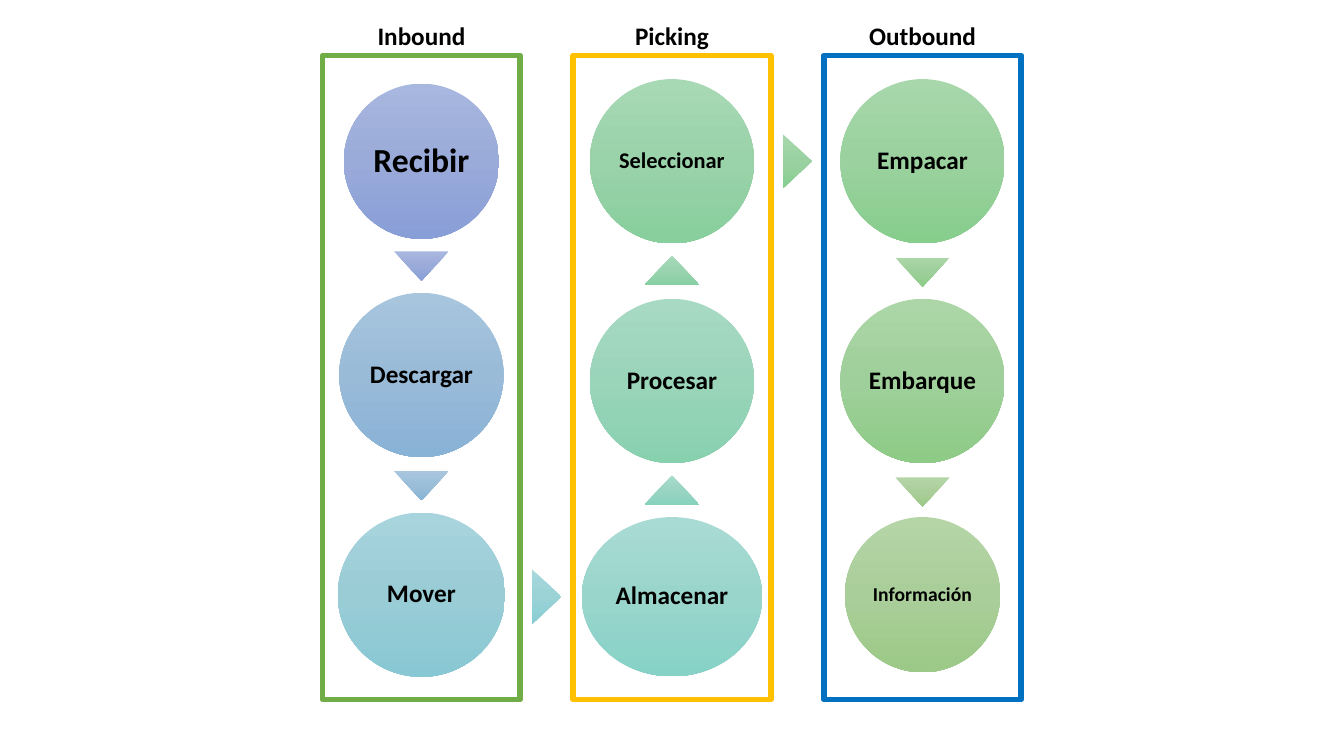
from copy import deepcopy

from pptx import Presentation
from pptx.dml.color import RGBColor
from pptx.enum.shapes import MSO_SHAPE
from pptx.enum.text import MSO_ANCHOR, MSO_AUTO_SIZE, PP_ALIGN
from pptx.util import Inches, Pt

BLACK = RGBColor(0, 0, 0)
GREEN = RGBColor(0x70, 0xAD, 0x47)
GOLD = RGBColor(0xFF, 0xC0, 0x00)
BLUE = RGBColor(0x00, 0x70, 0xC0)


def shades(*codes):
    """Turn hex codes into the colours of a gradient, top to bottom."""
    return [RGBColor.from_string(code) for code in codes]


PERIWINKLE = shades("A8B7DF", "9AABD9", "889ED7")
STEEL = shades("A8C5DE", "9ABBD8", "88B2D6")
SKY = shades("A8C7DE", "9ABDD8", "88B5D5")
TURQUOISE = shades("A8D4DD", "9ACCD6", "88C8D4")
CYAN = shades("A8D8DC", "9AD2D6", "88CED4")
TEAL = shades("A8DBD3", "9AD5CC", "87D2C7")
AQUA = shades("A8DBCC", "9AD4C3", "87D2BC")
SEAFOAM = shades("A8DAC3", "9AD4B9", "87D1AF")
MINT = shades("A7D9BB", "9AD3B0", "87D0A4")
JADE = shades("A7D9B5", "9AD2A9", "87CF9C")
FERN = shades("A7D8AD", "9AD1A1", "87CE90")
EMERALD = shades("A7D7AB", "9AD19E", "87CD8C")
LEAF = shades("ABD6A7", "9DCF9A", "8CCC87")
MEADOW = shades("ACD6A7", "9FCF9A", "8ECB87")
OLIVE = shades("B5D5A7", "AACE9A", "9CC987")

# Column grid, in inches: centre of the first column and distance to the next
FIRST_CENTER, PITCH = 4.18, 2.485
FRAME_TOP, FRAME_WIDTH, FRAME_HEIGHT = 0.55, 1.96, 6.39
ARROW_WIDTH, ARROW_HEIGHT = 0.54, 0.29
UP, RIGHT, DOWN = 0, 90, 180

# Stage name, label width, frame colour
STAGES = [("Inbound", 1.08, GREEN), ("Picking", 0.94, GOLD), ("Outbound", 1.27, BLUE)]

# Label, column, centre height, width, height, text size, gradient
STEPS = [
    ("Recibir", 0, 1.6, 1.54, 1.54, 24, PERIWINKLE),
    ("Descargar", 0, 3.72, 1.63, 1.63, 18, STEEL),
    ("Mover", 0, 5.9, 1.66, 1.63, 18, TURQUOISE),
    ("Almacenar", 1, 5.92, 1.79, 1.58, 18, TEAL),
    ("Procesar", 1, 3.78, 1.63, 1.63, 18, SEAFOAM),
    ("Seleccionar", 1, 1.6, 1.63, 1.63, 16, JADE),
    ("Empacar", 2, 1.6, 1.63, 1.63, 18, EMERALD),
    ("Embarque", 2, 3.78, 1.63, 1.63, 18, MEADOW),
    ("Información", 2, 5.9, 1.54, 1.54, 14, OLIVE),
]

# Column (half values lie between columns), centre height, direction, gradient
ARROWS = [
    (0, 2.64, DOWN, PERIWINKLE),
    (0, 4.82, DOWN, SKY),
    (0.5, 5.92, RIGHT, CYAN),
    (1, 4.86, UP, AQUA),
    (1, 2.68, UP, MINT),
    (1.5, 1.6, RIGHT, FERN),
    (2, 2.7, DOWN, LEAF),
    (2, 4.88, DOWN, OLIVE),
]


def apply(target, values):
    """Set every attribute named in a dict of format values."""
    for name, value in values.items():
        setattr(target, name, value)


def area(column, middle, width, height):
    """Give left, top, width and height of an area centred on a column."""
    center = FIRST_CENTER + column * PITCH
    return [Inches(n) for n in (center - width / 2, middle - height / 2, width, height)]


def write(shape, text, size, inset, frame_format):
    """Write one bold centred line into a shape."""
    frame = shape.text_frame
    sides = ("left", "right", "top", "bottom")
    apply(frame, {f"margin_{side}": Inches(inset) for side in sides})
    apply(frame, frame_format)
    para = frame.paragraphs[0]
    para.alignment = PP_ALIGN.CENTER
    span = para.add_run()
    span.text = text
    apply(span.font, {"name": "Calibri", "size": Pt(size), "bold": True})
    span.font.color.rgb = BLACK
    return para


def add_gradient_shape(page, kind, place, colors, rotation=0):
    """Add a borderless shape with an upright three-colour gradient."""
    shape = page.shapes.add_shape(kind, *place)
    shape.rotation = rotation
    shape.shadow.inherit = False
    shape.line.fill.background()
    fill = shape.fill
    fill.gradient()
    fill.gradient_angle = 270
    gradient = shape.element.spPr.find("{*}gradFill")
    gradient.set("rotWithShape", "0")
    first = gradient.find("{*}gsLst")[0]
    first.addnext(deepcopy(first))
    for stop, color, position in zip(fill.gradient_stops, colors, (0, 0.5, 1)):
        stop.color.rgb = color
        stop.position = position
    return shape


def add_step(page, label, column, middle, width, height, size, colors):
    """Add a labelled circle for one step of the process."""
    place = area(column, middle, width, height)
    circle = add_gradient_shape(page, MSO_SHAPE.OVAL, place, colors)
    centered = {"word_wrap": True, "vertical_anchor": MSO_ANCHOR.MIDDLE}
    para = write(circle, label, size, 0.03, centered)
    para.line_spacing = 0.9


def add_arrow(page, column, middle, rotation, colors):
    """Add a triangle that points to the next step."""
    place = area(column, middle, ARROW_WIDTH, ARROW_HEIGHT)
    add_gradient_shape(page, MSO_SHAPE.ISOSCELES_TRIANGLE, place, colors, rotation)


def add_stage(page, column, name, label_width, color):
    """Add the frame around a column and the name above it."""
    place = area(column, FRAME_TOP + FRAME_HEIGHT / 2, FRAME_WIDTH, FRAME_HEIGHT)
    frame = page.shapes.add_shape(MSO_SHAPE.RECTANGLE, *place)
    frame.shadow.inherit = False
    frame.fill.background()
    frame.line.color.rgb = color
    frame.line.width = Pt(4)
    box = page.shapes.add_textbox(*area(column, 0.35, label_width, 0.4))
    fitted = {"word_wrap": False, "auto_size": MSO_AUTO_SIZE.SHAPE_TO_FIT_TEXT}
    write(box, name, 18, 0.05, fitted)


def main():
    """Build the warehouse process slide."""
    deck = Presentation()
    apply(deck, {"slide_width": Inches(13.33), "slide_height": Inches(7.5)})
    page = deck.slides.add_slide(deck.slide_layouts[6])
    for step in STEPS:
        add_step(page, *step)
    for arrow in ARROWS:
        add_arrow(page, *arrow)
    for column, stage in enumerate(STAGES):
        add_stage(page, column, *stage)
    deck.save("out.pptx")


main()
